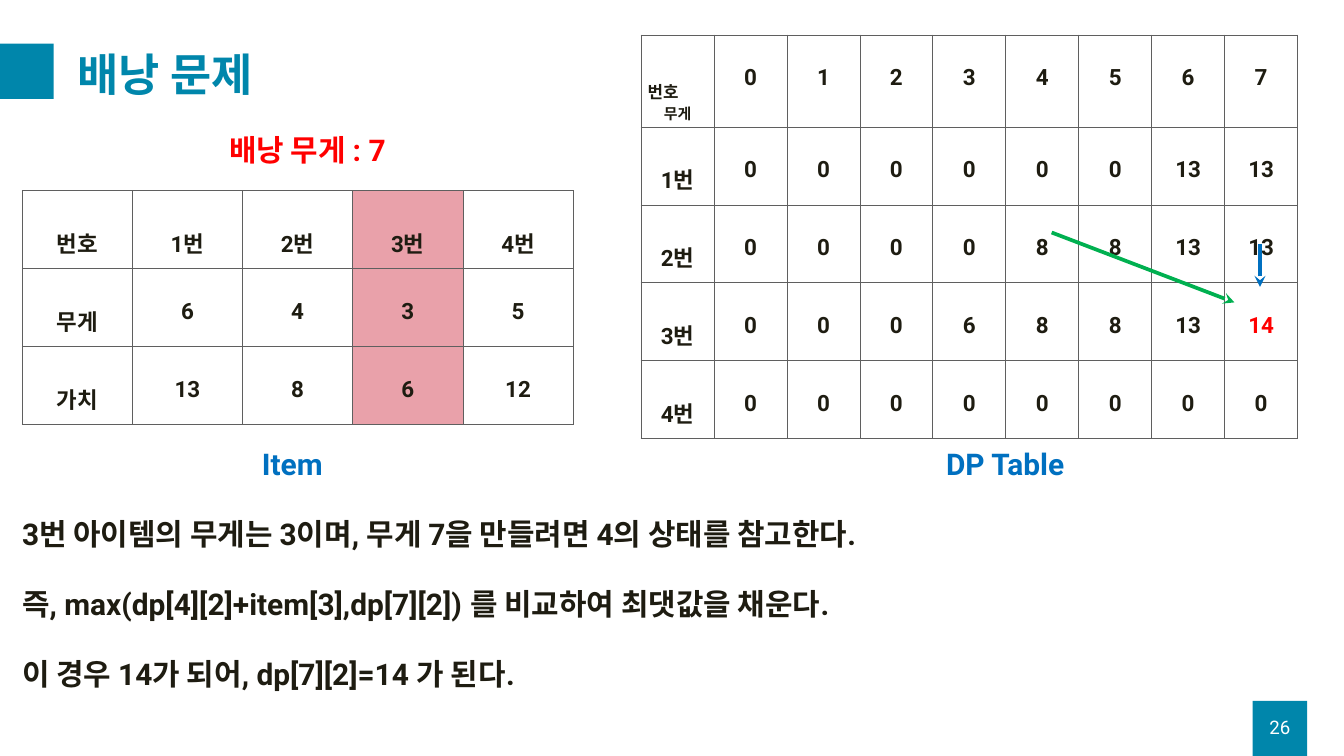
from lxml.etree import SubElement
from pptx import Presentation
from pptx.dml.color import RGBColor
from pptx.enum.shapes import MSO_CONNECTOR, MSO_SHAPE
from pptx.enum.text import MSO_ANCHOR, PP_ALIGN
from pptx.oxml import parse_xml
from pptx.oxml.ns import nsdecls, qn
from pptx.util import Emu, Pt

SCALE = 9144
FONT = "Roboto"
COLORS = {
    "teal": "0086AB",
    "white": "FFFFFF",
    "ink": "1E1C11",
    "grid": "5F5F5F",
    "pink": "E9A1AA",
    "red": "FF0000",
    "blue": "0070C0",
    "green": "00B050",
}
ITEM_ROWS = [
    ["번호", "1번", "2번", "3번", "4번"],
    ["무게", "6", "4", "3", "5"],
    ["가치", "13", "8", "6", "12"],
]
DP_ROWS = [
    ["무게", *map(str, range(8))],
    ["1번", *"0 0 0 0 0 0 13 13".split()],
    ["2번", *"0 0 0 0 8 8 13 13".split()],
    ["3번", *"0 0 0 6 8 8 13 14".split()],
    ["4번", *["0"] * 8],
]
EXPLANATION = [
    "3번 아이템의 무게는 3이며, 무게 7을 만들려면 4의 상태를 참고한다.",
    "즉, max(dp[4][2]+item[3],dp[7][2]) 를 비교하여 최댓값을 채운다.",
    "이 경우 14가 되어, dp[7][2]=14 가 된다.",
]


def px(value):
    return Emu(value * SCALE)


def rgb(name):
    return RGBColor.from_string(COLORS[name])


def style_para(para, size, color, bold=True):
    for span in para.runs:
        span.font.name = FONT
        span.font.size = Pt(size)
        span.font.bold = bold
        span.font.color.rgb = rgb(color)


def add_text(page, box, lines, size, color, bold=True, gap=0,
             align=PP_ALIGN.LEFT, anchor=MSO_ANCHOR.TOP):
    frame = page.shapes.add_textbox(*map(px, box)).text_frame
    frame.word_wrap = True
    frame.vertical_anchor = anchor
    frame.text = "\n".join(lines)
    for index, para in enumerate(frame.paragraphs):
        para.alignment = align
        para.space_before = Pt(gap if index else 0)
        style_para(para, size, color, bold)
    return frame


def add_block(page, box):
    block = page.shapes.add_shape(MSO_SHAPE.RECTANGLE, *map(px, box))
    block.shadow.inherit = False
    block.fill.solid()
    block.fill.fore_color.rgb = rgb("teal")
    block.line.fill.background()


def add_borders(cell):
    properties = cell._tc.get_or_add_tcPr()
    for side in ("lnL", "lnR", "lnT", "lnB"):
        properties.append(parse_xml(
            f'<a:{side} {nsdecls("a")} w="{Pt(1)}"><a:solidFill>'
            f'<a:srgbClr val="{COLORS["grid"]}"/></a:solidFill></a:{side}>'))


def add_grid(page, box, rows):
    left, top, width, height = box
    table = page.shapes.add_table(len(rows), len(rows[0]), *map(px, box)).table
    table.first_row = False
    table.horz_banding = False
    for row, values in zip(table.rows, rows):
        row.height = px(height // len(rows))
        for cell, value in zip(row.cells, values):
            add_borders(cell)
            cell.fill.solid()
            cell.fill.fore_color.rgb = rgb("white")
            cell.text = value
            para = cell.text_frame.paragraphs[0]
            para.alignment = PP_ALIGN.CENTER
            para.line_spacing = 2.0
            style_para(para, 24, "ink")
    return table


def add_arrow(page, start, end, color):
    arrow = page.shapes.add_connector(
        MSO_CONNECTOR.STRAIGHT, *map(px, start), *map(px, end))
    arrow.line.color.rgb = rgb(color)
    arrow.line.width = Pt(4)
    SubElement(arrow.line._get_or_add_ln(), qn("a:headEnd"), type="stealth")
    SubElement(arrow._element.spPr, qn("a:effectLst"))


def add_header(page, box):
    left, top, width, height = box
    add_block(page, (left, top + 15, 81, 82))
    add_text(page, (left + 107, top, width - 107, height), ["배낭 문제"], 48, "teal",
             anchor=MSO_ANCHOR.MIDDLE)


def add_page_number(page, box):
    left, top, width, height = box
    add_block(page, box)
    add_text(page, (left, top + 9, width, 60), ["26"], 20, "white", bold=False,
             align=PP_ALIGN.CENTER, anchor=MSO_ANCHOR.MIDDLE)


def add_items(page, box):
    left, top, width, height = box
    table = add_grid(page, box, ITEM_ROWS)
    for row in table.rows:
        row.cells[3].fill.fore_color.rgb = rgb("pink")
    add_text(page, (left + 298, top - 93, 628, 64), ["배낭 무게 : 7"], 32, "red")
    add_text(page, (left + 347, top + 374, 314, 64), ["Item"], 32, "blue")


def add_dp_table(page, box):
    left, top, width, height = box
    table = add_grid(page, box, DP_ROWS)
    table.rows[0].height = px(137)
    corner = table.cell(0, 0)
    corner.vertical_anchor = MSO_ANCHOR.BOTTOM
    style_para(corner.text_frame.paragraphs[0], 16, "ink")
    style_para(table.cell(3, 8).text_frame.paragraphs[0], 24, "red")
    add_text(page, (left, top + 65, 80, 40), ["번호"], 18, "ink")
    add_text(page, (left + 444, top + 606, 314, 64), ["DP Table"], 32, "blue")
    add_arrow(page, (left + 883, top + 398), (left + 611, top + 294), "green")
    add_arrow(page, (left + 921, top + 375), (left + 921, top + 311), "blue")


def main():
    deck = Presentation()
    deck.slide_width, deck.slide_height = px(2000), px(1125)
    page = deck.slides.add_slide(deck.slide_layouts[6])
    add_header(page, (-1, 50, 1932, 118))
    add_page_number(page, (1864, 1043, 81, 82))
    add_items(page, (33, 284, 820, 348))
    add_dp_table(page, (954, 52, 977, 580))
    add_text(page, (23, 762, 1916, 279), EXPLANATION, 32, "ink", gap=37)
    deck.save("out.pptx")


if __name__ == "__main__":
    main()
